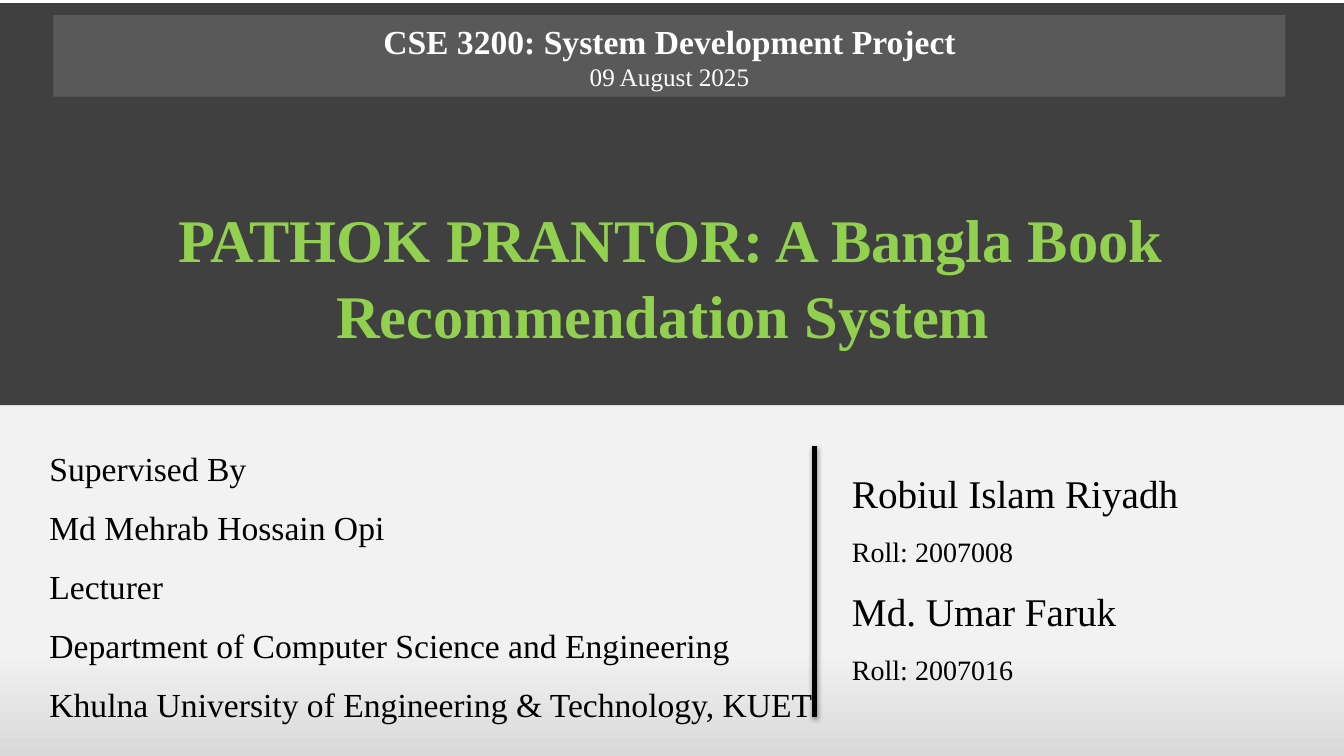
from dataclasses import dataclass

from lxml import etree
from pptx import Presentation
from pptx.dml.color import RGBColor
from pptx.enum.shapes import MSO_CONNECTOR, MSO_SHAPE
from pptx.enum.text import MSO_ANCHOR, PP_ALIGN
from pptx.oxml import parse_xml
from pptx.oxml.ns import nsdecls, qn
from pptx.util import Inches, Pt

RECTANGLE = MSO_SHAPE.RECTANGLE
STRAIGHT = MSO_CONNECTOR.STRAIGHT
CENTER = PP_ALIGN.CENTER
BOTTOM, MIDDLE = MSO_ANCHOR.BOTTOM, MSO_ANCHOR.MIDDLE
TITLE_ONLY = 5


@dataclass(frozen=True)
class Theme:
    font: str = "Times New Roman"
    white: str = "FFFFFF"
    black: str = "000000"
    band: str = "404040"
    header: str = "595959"
    accent: str = "92D050"
    paper: str = "F2F2F2"
    paper_shade: str = "D9D9D9"
    title: float = 43.2
    name: float = 28
    body: float = 24
    small: float = 20
    date: float = 18
    line_spacing: float = 1.05
    gap: float = 6


THEME = Theme()
SUPERVISOR = [
    "Supervised By",
    "Md Mehrab Hossain Opi",
    "Lecturer",
    "Department of Computer Science and Engineering",
    "Khulna University of Engineering & Technology, KUET",
]
STUDENTS = [("Robiul Islam Riyadh", "Roll: 2007008"), ("Md. Umar Faruk", "Roll: 2007016")]


def rgb(color):
    return RGBColor.from_string(color)


def inches(box):
    return [Inches(length) for length in box]


def set_font(paragraph, size, color, bold=False):
    font = paragraph.font
    font.name, font.size, font.bold = THEME.font, Pt(size), bold
    font.color.rgb = rgb(color)


def set_insets(frame, left):
    frame.word_wrap = True
    frame.margin_left, frame.margin_right = Inches(left), Inches(0.05)
    frame.margin_top = frame.margin_bottom = 0


def write_lines(frame, lines):
    """Fill a frame with (text, size) lines and return its paragraphs."""
    frame.text = "\n".join(text for text, _ in lines)
    for paragraph, (_, size) in zip(frame.paragraphs, lines):
        set_font(paragraph, size, THEME.black)
    return frame.paragraphs


def add_background(slide):
    fill = slide.background.fill
    fill.gradient()
    fill.gradient_angle = 270
    stops = [(0.86, THEME.paper), (1, THEME.paper_shade)]
    for stop, (position, color) in zip(fill.gradient_stops, stops):
        stop.position = position
        stop.color.rgb = rgb(color)


def add_block(slide, box, color):
    block = slide.shapes.add_shape(RECTANGLE, *inches(box))
    block.shadow.inherit = False
    block.fill.solid()
    block.fill.fore_color.rgb = rgb(color)
    block.line.fill.background()
    return block


def add_header(slide, box):
    frame = add_block(slide, box, THEME.header).text_frame
    frame.word_wrap = True
    frame.vertical_anchor = MIDDLE
    frame.text = "CSE 3200: System Development Project\n09 August 2025"
    course, date = frame.paragraphs
    set_font(course, THEME.body, THEME.white, bold=True)
    set_font(date, THEME.date, THEME.white)
    course.alignment = date.alignment = CENTER


def place_title(slide, box):
    title = slide.shapes.title
    title.left, title.top, title.width, title.height = inches(box)
    frame = title.text_frame
    set_insets(frame, 0.1)
    frame.vertical_anchor = BOTTOM
    frame.text = "PATHOK PRANTOR: A Bangla Book Recommendation System \v"
    heading = frame.paragraphs[0]
    heading.alignment = CENTER
    heading.line_spacing = THEME.line_spacing
    set_font(heading, THEME.title, THEME.accent, bold=True)


def add_people(slide, box, lines):
    frame = slide.shapes.add_textbox(*inches(box)).text_frame
    set_insets(frame, 0.13)
    for index, paragraph in enumerate(write_lines(frame, lines)):
        paragraph.line_spacing = THEME.line_spacing
        paragraph.space_before = Pt(THEME.gap if index else 0)
        paragraph.space_after = Pt(THEME.gap)


def add_divider(slide, x, top, height):
    """Draw the vertical rule with a soft shadow below it."""
    ends = inches((x, top, x, top + height))
    divider = slide.shapes.add_connector(STRAIGHT, *ends)
    divider.line.color.rgb = rgb(THEME.black)
    divider.line.width = Pt(3.78)
    effects = parse_xml(f"<a:effectLst {nsdecls('a')}/>")
    shadow = etree.SubElement(
        effects, qn("a:outerShdw"), blurRad=str(Pt(3.5)), dist=str(Pt(2)),
        dir="5400000", rotWithShape="0")
    color = etree.SubElement(shadow, qn("a:srgbClr"), val=THEME.black)
    etree.SubElement(color, qn("a:alpha"), val="38000")
    divider._element.spPr.append(effects)


def build_cover(slide, width):
    add_background(slide)
    add_block(slide, (0, 0, width, 1.18), THEME.white)
    add_block(slide, (0, 0.03, width, 3.99), THEME.band)
    # The title placeholder comes first in the tree; lift it above the band.
    slide.shapes._spTree.append(slide.shapes.title._element)
    place_title(slide, (0.5, 2.28, 12.25, 1.92))
    students = [line for name, roll in STUDENTS
                for line in ((name, THEME.name), (roll, THEME.small))]
    add_people(slide, (8.32, 4.63, 3.98, 2.26), students)
    add_header(slide, (0.53, 0.15, 12.22, 0.81))
    add_people(slide, (0.36, 4.42, 8.21, 2.87), [(text, THEME.body) for text in SUPERVISOR])
    add_divider(slide, 8.08, 4.42, 2.69)


def main():
    width, height = 13.33, 7.5
    deck = Presentation()
    deck.slide_width, deck.slide_height = Inches(width), Inches(height)
    build_cover(deck.slides.add_slide(deck.slide_layouts[TITLE_ONLY]), width)
    deck.save("out.pptx")


if __name__ == "__main__":
    main()
